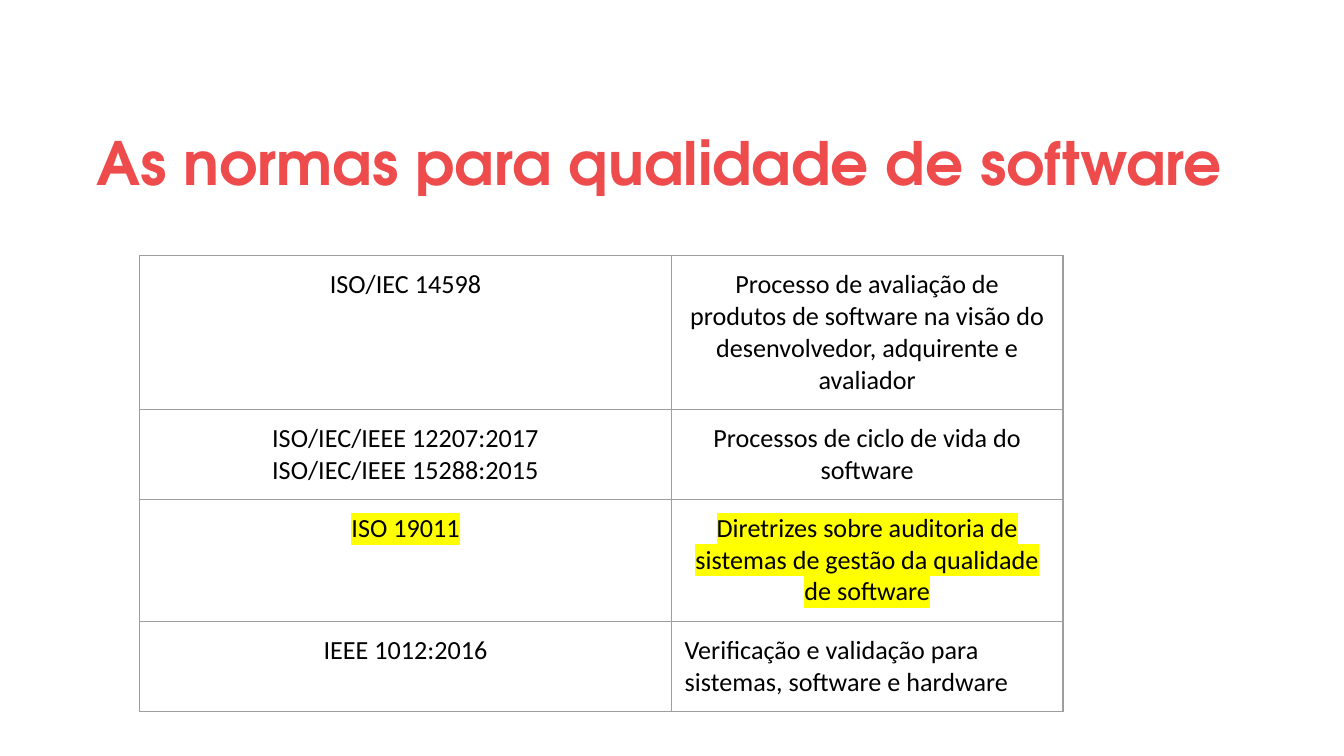
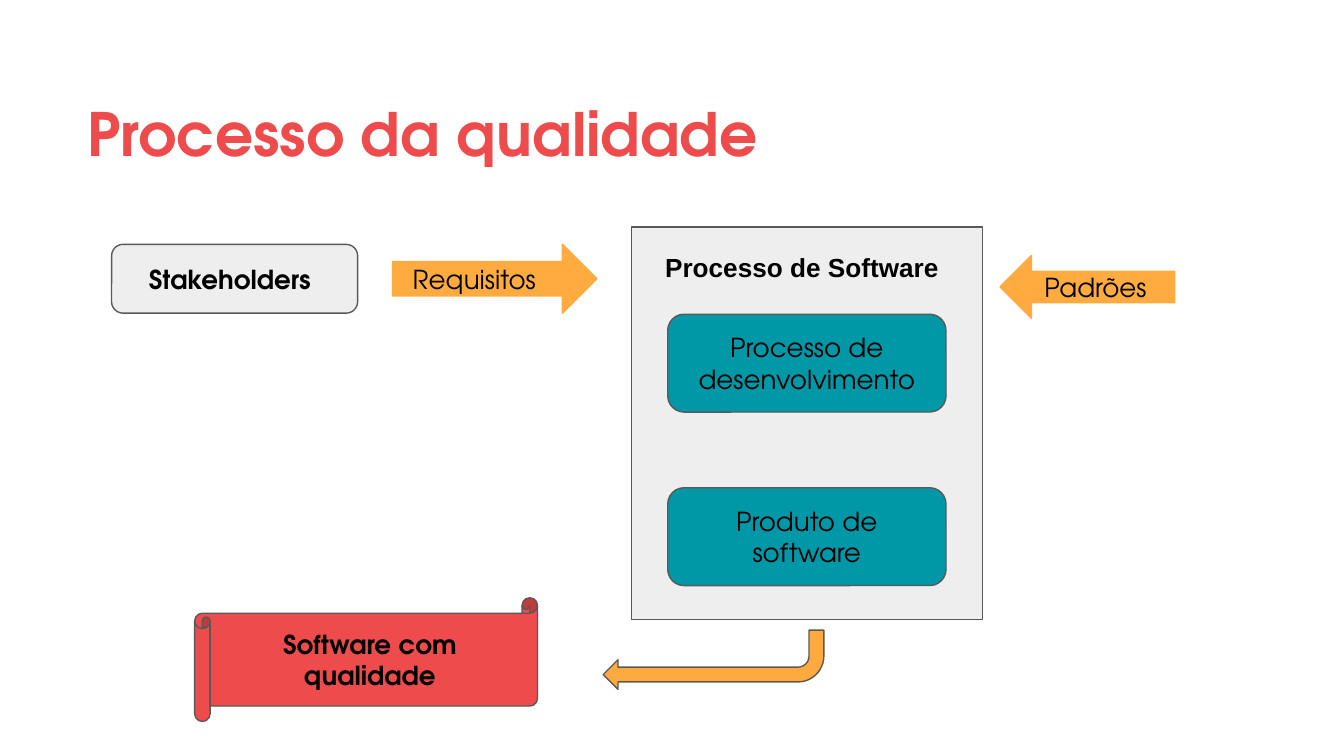
"""Builds two slides on software quality: a table of standards and a process diagram."""
from lxml.etree import SubElement
from pptx import Presentation
from pptx.dml.color import RGBColor
from pptx.enum.shapes import MSO_SHAPE
from pptx.enum.text import MSO_ANCHOR, MSO_AUTO_SIZE, PP_ALIGN
from pptx.oxml.ns import qn
from pptx.util import Cm, Pt

RED = RGBColor(0xEE, 0x4C, 0x4C)
BLACK = RGBColor(0, 0, 0)
PALE = RGBColor(0xEE, 0xEE, 0xEE)
TEAL = RGBColor(0x00, 0x97, 0xA7)
ORANGE = RGBColor(0xFF, 0xAB, 0x40)
DEEP_ORANGE = RGBColor(0xFF, 0xAA, 0x3F)
OUTLINE = RGBColor(0x59, 0x59, 0x59)
GRID = RGBColor(0x9E, 0x9E, 0x9E)
YELLOW = RGBColor(0xFF, 0xFF, 0x00)

DISPLAY = "TeX Gyre Adventor"
LEFT, CENTER = PP_ALIGN.LEFT, PP_ALIGN.CENTER
INSET = 0.25
TITLE_SIZE = (23.01, 2.34)

STANDARDS_TITLE = ("As normas para qualidade de software", 1.57, 1.78)
STANDARDS = [
    ("ISO/IEC 14598",
     "Processo de avaliação de produtos de software na visão do "
     "desenvolvedor, adquirente e avaliador"),
    ("ISO/IEC/IEEE 12207:2017\nISO/IEC/IEEE 15288:2015",
     "Processos de ciclo de vida do software"),
    ("ISO 19011",
     "Diretrizes sobre auditoria de sistemas de gestão da qualidade de software"),
    ("IEEE 1012:2016",
     "Verificação e validação para sistemas, software e hardware"),
]
HIGHLIGHTED_ROW = 2
LEFT_ALIGNED_CELL = (3, 1)
TABLE_POSITION = (2.64, 4.83)
COLUMN_WIDTHS = (10.05, 7.4)
ROW_HEIGHT = 1.07

PROCESS_TITLE = ("Processo da qualidade", 1.4, 1.24)
PROCESS_FRAME = (11.94, 4.29, 6.63, 7.42)
PROCESS_LABEL = ("Processo de Software", 12.32, 4.5, 5.87, 1.12)
STAGES = ["Processo de desenvolvimento", "Produto de software"]
STAGE_BOX = (12.62, 5.94, 5.26, 1.85)
STAGE_PITCH = 3.28
RESULT_ARROW = (11.4, 11.91, 4.17, 1.12)
RESULT = ("Software com qualidade", 3.68, 11.3, 6.48, 2.34)
INPUTS = [
    ("Stakeholders", MSO_SHAPE.ROUNDED_RECTANGLE, (2.11, 4.62, 4.65, 1.3), PALE, OUTLINE, True, 0.39),
    ("Requisitos", MSO_SHAPE.RIGHT_ARROW, (7.42, 4.62, 3.86, 1.3), ORANGE, ORANGE, False, 0.13),
    ("Padrões", MSO_SHAPE.LEFT_ARROW, (18.9, 4.83, 3.3, 1.19), ORANGE, ORANGE, False, 0.29),
]


def write(frame, text, font=DISPLAY, size=14, color=BLACK, bold=False, align=CENTER):
    """Fill a text frame and format each of its paragraphs."""
    frame.text = text
    for paragraph in frame.paragraphs:
        paragraph.alignment = align
        paragraph.font.name = font
        paragraph.font.size = Pt(size)
        paragraph.font.bold = bold
        paragraph.font.color.rgb = color


def pad(box, indent=0):
    """Give a text frame or table cell its margins, with an optional left indent."""
    box.margin_left = Cm(INSET + indent)
    box.margin_right = box.margin_top = box.margin_bottom = Cm(INSET)


def add_titled_slide(deck, text, left, top):
    """Add a title-only slide with its title in place."""
    slide = deck.slides.add_slide(deck.slide_layouts[5])
    title = slide.shapes.title
    title.left, title.top = Cm(left), Cm(top)
    title.width, title.height = map(Cm, TITLE_SIZE)
    frame = title.text_frame
    write(frame, text, size=32, color=RED, bold=True, align=LEFT)
    pad(frame)
    frame.word_wrap = True
    frame.auto_size = MSO_AUTO_SIZE.NONE
    frame.vertical_anchor = MSO_ANCHOR.MIDDLE
    frame.paragraphs[0].line_spacing = 1.15
    return slide


def add_block(slide, kind, bounds, fill, line=OUTLINE, text="", bold=False, align=CENTER, indent=0):
    """Add a filled, outlined shape with optional text."""
    block = slide.shapes.add_shape(kind, *map(Cm, bounds))
    block.shadow.inherit = False
    block.fill.solid()
    block.fill.fore_color.rgb = fill
    block.line.color.rgb = line
    block.line.width = Pt(0.75)
    if text:
        frame = block.text_frame
        write(frame, text, bold=bold, align=align)
        pad(frame, indent)
        frame.word_wrap = True
        frame.vertical_anchor = MSO_ANCHOR.MIDDLE
    return block


def add_solid_color(parent, color):
    """Append a solid fill to an XML element."""
    fill = SubElement(parent, qn("a:solidFill"))
    SubElement(fill, qn("a:srgbClr"), val=str(color))


def border_cell(cell):
    """Draw the four borders of a table cell, ahead of its fill."""
    properties = cell._tc.get_or_add_tcPr()
    for index, side in enumerate(("a:lnL", "a:lnR", "a:lnT", "a:lnB")):
        border = SubElement(properties, qn(side), w=str(Pt(0.75)))
        add_solid_color(border, GRID)
        properties.insert(index, border)


def highlight(frame):
    """Mark every run of a text frame in yellow."""
    for paragraph in frame.paragraphs:
        for run in paragraph.runs:
            mark = SubElement(run._r.get_or_add_rPr(), qn("a:highlight"))
            SubElement(mark, qn("a:srgbClr"), val=str(YELLOW))


def build_standards(deck):
    """Build the slide with the table of standards."""
    slide = add_titled_slide(deck, *STANDARDS_TITLE)
    bounds = (*TABLE_POSITION, sum(COLUMN_WIDTHS), ROW_HEIGHT * len(STANDARDS))
    table = slide.shapes.add_table(len(STANDARDS), len(COLUMN_WIDTHS), *map(Cm, bounds)).table
    table.first_row = table.horz_banding = False
    for column, width in zip(table.columns, COLUMN_WIDTHS):
        column.width = Cm(width)
    for row, texts in enumerate(STANDARDS):
        table.rows[row].height = Cm(ROW_HEIGHT)
        for column, text in enumerate(texts):
            cell = table.cell(row, column)
            align = LEFT if (row, column) == LEFT_ALIGNED_CELL else CENTER
            write(cell.text_frame, text, font="Calibri", align=align)
            pad(cell)
            cell.fill.background()
            border_cell(cell)
            if row == HIGHLIGHTED_ROW:
                highlight(cell.text_frame)


def build_process(deck):
    """Build the slide with the quality process diagram."""
    slide = add_titled_slide(deck, *PROCESS_TITLE)
    add_block(slide, MSO_SHAPE.RECTANGLE, PROCESS_FRAME, PALE)

    label_text, *label_bounds = PROCESS_LABEL
    label = slide.shapes.add_textbox(*map(Cm, label_bounds)).text_frame
    write(label, label_text, font="Arial", bold=True, align=LEFT)
    pad(label)
    label.word_wrap = True
    label.auto_size = MSO_AUTO_SIZE.SHAPE_TO_FIT_TEXT

    left, top, width, height = STAGE_BOX
    for index, stage in enumerate(STAGES):
        bounds = (left, top + index * STAGE_PITCH, width, height)
        add_block(slide, MSO_SHAPE.FLOWCHART_ALTERNATE_PROCESS, bounds, TEAL, text=stage)

    for text, kind, bounds, fill, line, bold, indent in INPUTS:
        add_block(slide, kind, bounds, fill, line, text, bold, LEFT, indent)

    result_arrow = add_block(slide, MSO_SHAPE.BENT_ARROW, RESULT_ARROW, DEEP_ORANGE)
    result_arrow.rotation = 180
    result_text, *result_bounds = RESULT
    add_block(slide, MSO_SHAPE.HORIZONTAL_SCROLL, result_bounds, RED, text=result_text, bold=True)


def main():
    """Build and save the presentation."""
    deck = Presentation()
    deck.slide_width, deck.slide_height = Cm(25.4), Cm(14.29)
    build_standards(deck)
    build_process(deck)
    deck.save("out.pptx")


if __name__ == "__main__":
    main()
